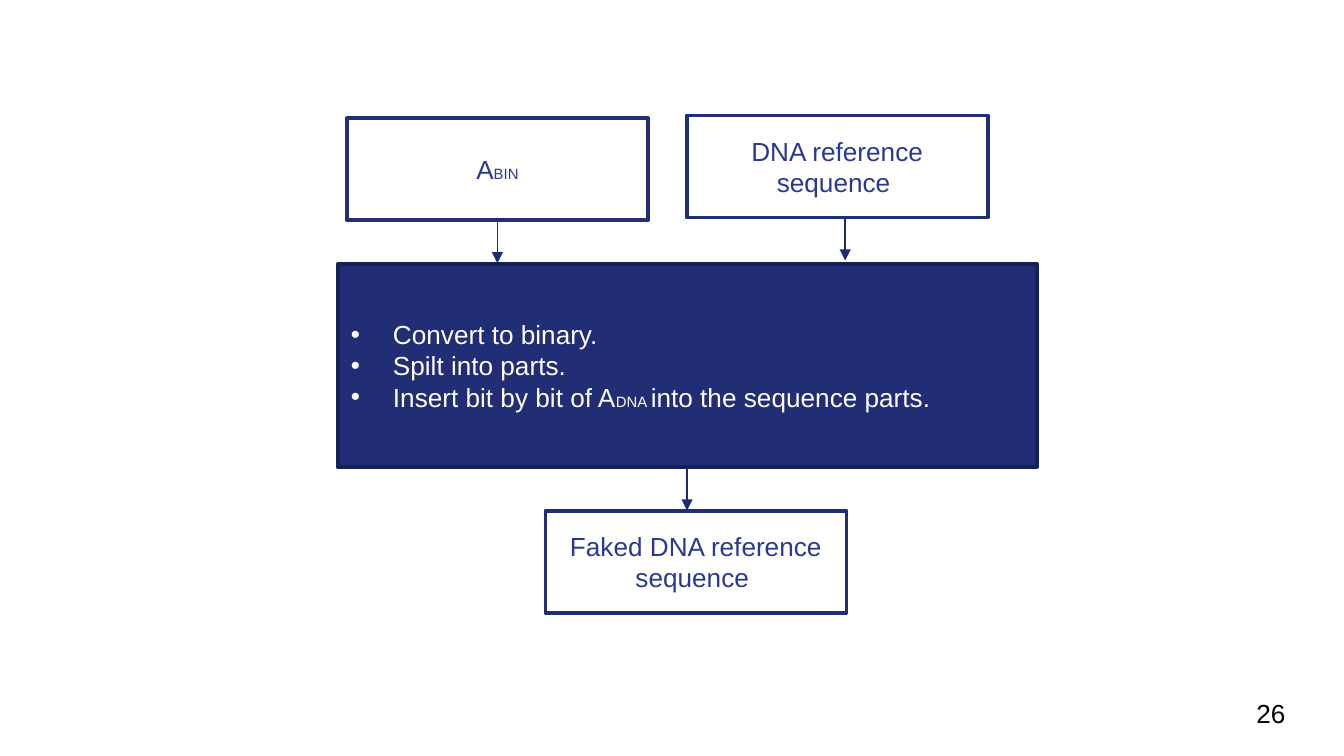
"""Build the slide showing how a binary message is hidden in a DNA sequence."""
from lxml import etree
from pptx import Presentation, util as u
from pptx.dml.color import RGBColor
from pptx.enum import shapes, text
from pptx.oxml import ns

COLORS = {
    "navy": "212D74", "edge": "182156", "arrow": "1E2B73",
    "label": "2A3990", "white": "FFFFFF", "black": "000000",
}
BOX_WIDTH, BOX_HEIGHT = 161.3, 54.7
ARROW_LENGTH = 23


def color(name):
    return RGBColor.from_string(COLORS[name])


def add_text(paragraph, content, *, size=14, fill="label", font="Arial"):
    run = paragraph.add_run()
    run.text = content
    run.font.size = u.Pt(size)
    run.font.name = font
    run.font.color.rgb = color(fill)


def add_bullet(paragraph, indent=22.5):
    properties = paragraph._p.get_or_add_pPr()
    properties.set("marL", str(u.Pt(indent)))
    properties.set("indent", str(-u.Pt(indent)))
    etree.SubElement(properties, ns.qn("a:buFont"), typeface="Arial")
    etree.SubElement(properties, ns.qn("a:buChar"), char="•")


class FlowSlide:
    def __init__(self, slide, line_width=2, arrow_width=0.75):
        self.slide = slide
        self.line_width = line_width
        self.arrow_width = arrow_width

    def fill_frame(self, frame, lines, fill, align, bullets=False):
        frame.word_wrap = True
        frame.vertical_anchor = text.MSO_ANCHOR.MIDDLE
        for index, line in enumerate(lines):
            paragraph = frame.add_paragraph() if index else frame.paragraphs[0]
            paragraph.alignment = align
            if bullets:
                add_bullet(paragraph)
            for content, size in line:
                add_text(paragraph, content, size=size, fill=fill)

    def box(self, left, top, width, height, fill, line):
        shape = self.slide.shapes.add_shape(
            shapes.MSO_SHAPE.RECTANGLE,
            u.Pt(left), u.Pt(top), u.Pt(width), u.Pt(height))
        shape.shadow.inherit = False
        shape.fill.solid()
        shape.fill.fore_color.rgb = color(fill)
        shape.line.color.rgb = color(line)
        shape.line.width = u.Pt(self.line_width)
        return shape

    def data_box(self, left, top, runs):
        shape = self.box(left, top, BOX_WIDTH, BOX_HEIGHT, "white", "navy")
        self.fill_frame(shape.text_frame, [runs], "label", text.PP_ALIGN.CENTER)

    def process_box(self, left, top, width, height, lines):
        shape = self.box(left, top, width, height, "navy", "edge")
        self.fill_frame(shape.text_frame, lines, "white", text.PP_ALIGN.LEFT, bullets=True)

    def arrow(self, x, top):
        connector = self.slide.shapes.add_connector(
            shapes.MSO_CONNECTOR.STRAIGHT,
            u.Pt(x), u.Pt(top), u.Pt(x), u.Pt(top + ARROW_LENGTH))
        connector.line.color.rgb = color("arrow")
        connector.line.width = u.Pt(self.arrow_width)
        etree.SubElement(connector.line._get_or_add_ln(), ns.qn("a:tailEnd"), type="triangle")
        etree.SubElement(connector._element.spPr, ns.qn("a:effectLst"))

    def page_number(self, number, left, top, width, height, inset=7.2):
        shape = self.slide.shapes.add_textbox(
            u.Pt(left), u.Pt(top), u.Pt(width), u.Pt(height))
        frame = shape.text_frame
        frame.margin_left = frame.margin_right = u.Pt(inset)
        frame.margin_top = frame.margin_bottom = u.Pt(inset)
        self.fill_frame(frame, [[(number, 14)]], "black", text.PP_ALIGN.LEFT)


def main():
    presentation = Presentation()
    presentation.slide_width = u.Pt(720)
    presentation.slide_height = u.Pt(405)
    flow = FlowSlide(presentation.slides.add_slide(presentation.slide_layouts[6]))

    flow.page_number("26", 666, 366.5, 43.2, 31)
    flow.process_box(180.9, 141.3, 374.6, 109, [
        [("Convert to binary.", 14)],
        [("Spilt into parts.", 14)],
        [("Insert bit by bit of A", 14), ("DNA ", 8), ("into the sequence parts.", 14)],
    ])
    for left, top, runs in (
        (185.9, 63.4, [("A", 14), ("BIN", 8)]),
        (367.9, 61.9, [("DNA reference sequence ", 14)]),
        (292.2, 273.6, [("Faked DNA reference sequence ", 14)]),
    ):
        flow.data_box(left, top, runs)
    for x, top in ((266.5, 118.1), (452.8, 116.6), (368.1, 250.5)):
        flow.arrow(x, top)

    presentation.save("out.pptx")


if __name__ == "__main__":
    main()
